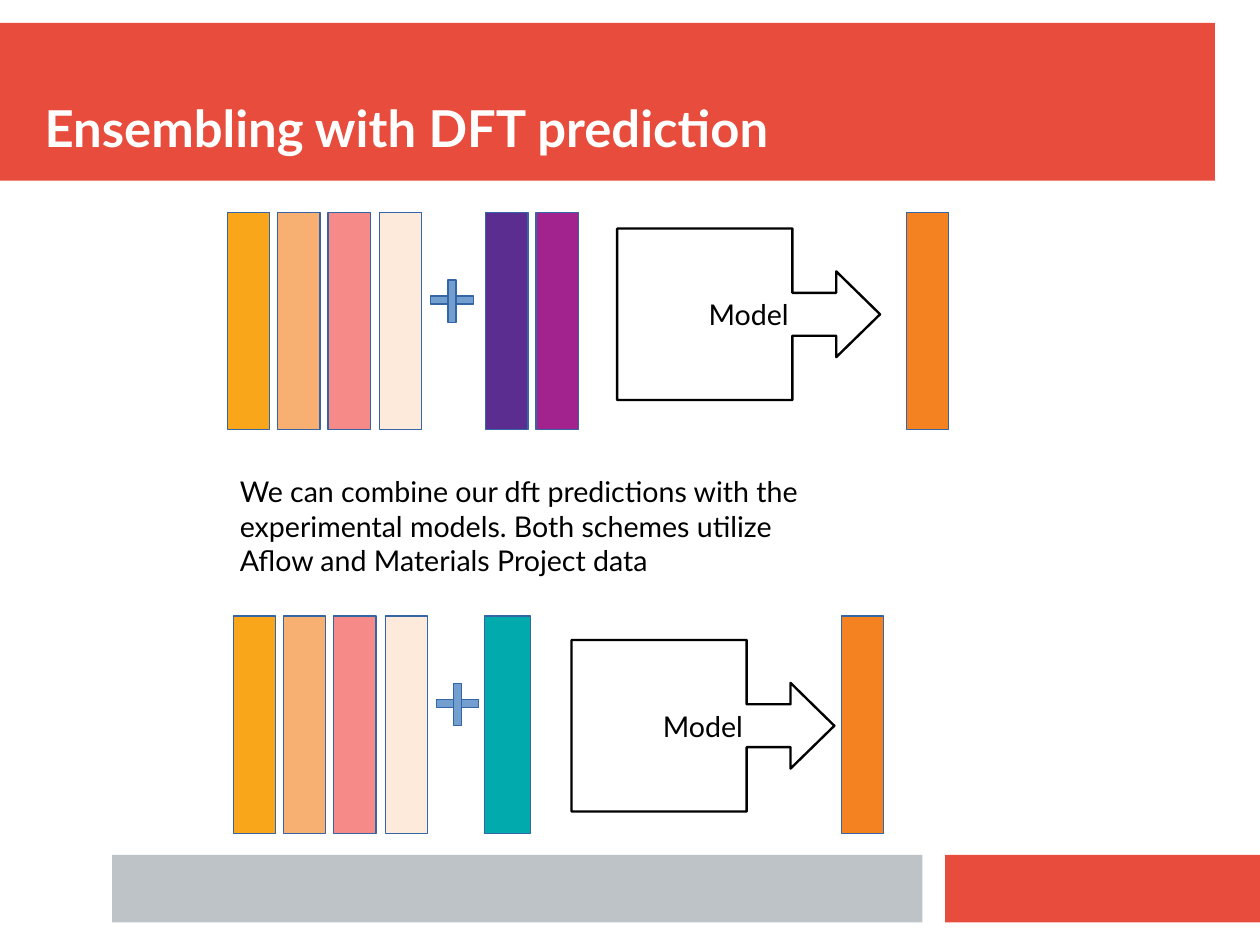
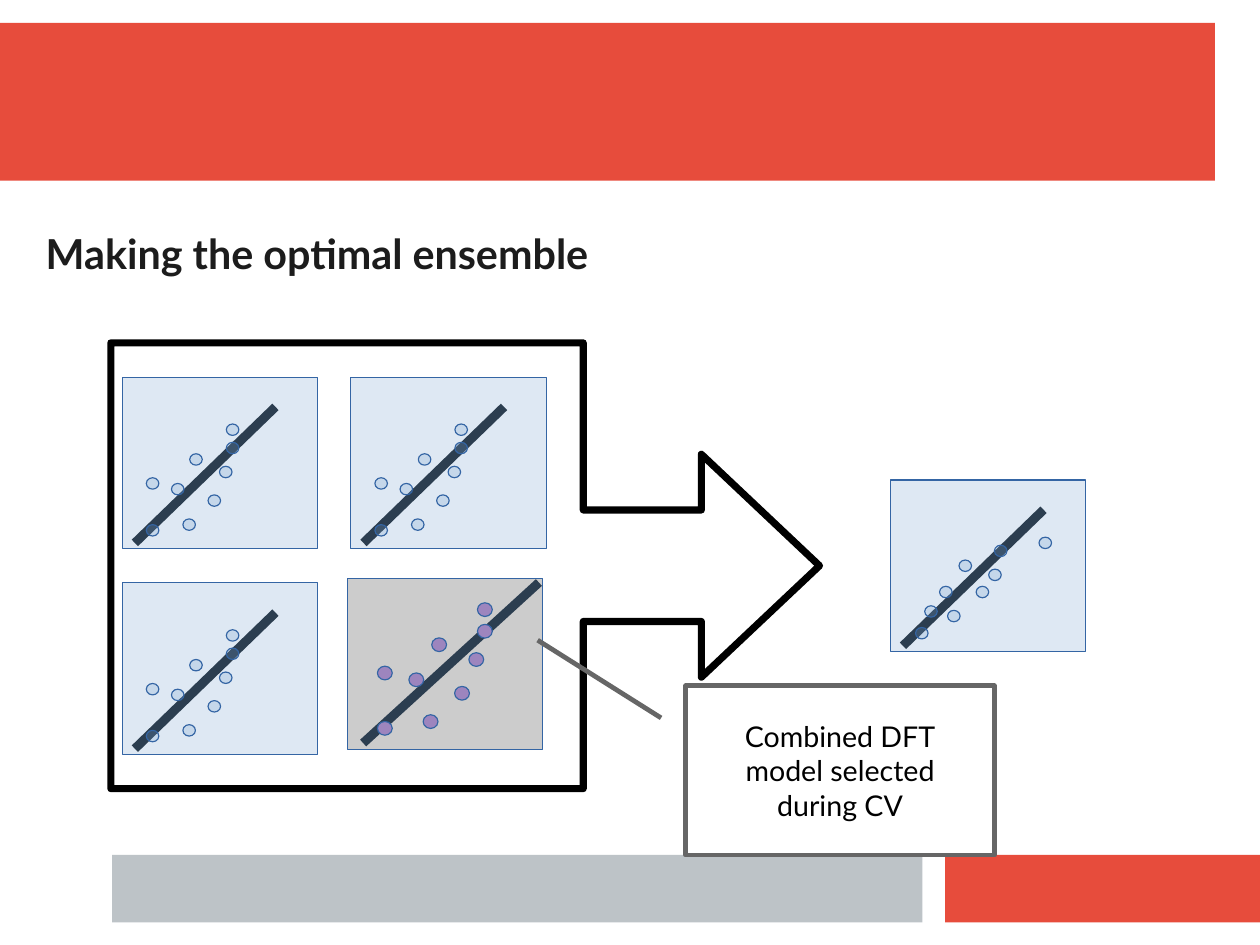
import lxml.etree
import pptx
import pptx.dml.color
import pptx.enum.shapes
import pptx.enum.text
import pptx.oxml.ns
import pptx.util

PX = 9144  # EMU per px, 100 px to the inch
SLIDE_SIZE_CM = (28, 21)

SHAPES = pptx.enum.shapes.MSO_SHAPE
ANCHOR = pptx.enum.text.MSO_ANCHOR
ALIGN = pptx.enum.text.PP_ALIGN

THEME = {
    "font": "Lato",
    "red": "E74C3C", "silver": "BDC3C7", "white": "FFFFFF", "black": "000000",
    "ink": "1C1C1C", "outline": "3465A4", "blue": "729FCF", "trend": "2C3E50",
    "callout": "666666", "grey": "CCCCCC", "lilac": "9D85BE",
    "amber": "FAA61A", "orange": "F58220", "coral": "EF413D",
    "purple": "5C2D91", "magenta": "A3238E", "teal": "00AAAD",
    "thin": 0.75, "trend_width": 5.67,
}
TEXT_STYLES = {
    "title": {"size": 32, "bold": True, "color": "white", "align": ALIGN.LEFT,
              "frame": {"vertical_anchor": ANCHOR.BOTTOM, "word_wrap": True}, "margins": (0, 0)},
    "heading": {"size": 26, "bold": True, "color": "ink", "align": ALIGN.LEFT,
                "frame": {"vertical_anchor": ANCHOR.TOP, "word_wrap": True}, "margins": (0, 0)},
    "body": {"size": 18, "bold": False, "color": "black", "align": ALIGN.LEFT,
             "frame": {"vertical_anchor": ANCHOR.TOP, "word_wrap": True}, "margins": (10, 5)},
    "label": {"size": 18, "bold": False, "color": "black", "align": ALIGN.CENTER,
              "frame": {"vertical_anchor": ANCHOR.MIDDLE, "word_wrap": False}, "margins": (12, 7)},
}

BANDS = [
    ((0, 20, 1063, 138), "red"),
    ((827, 748, 276, 59), "red"),
    ((98, 748, 709, 59), "silver"),
]

# Slide 1
TITLE = "Ensembling with DFT prediction"
SCHEMES_NOTE = ("We can combine our dft predictions with the experimental models. "
                "Both schemes utilize Aflow and Materials Project data")
BAR_SIZE = (37, 190)
FEATURES = [(0, "amber", 100), (44, "orange", 63), (88, "coral", 61), (133, "orange", 16)]
PLUS_STROKES = [(178, 73, 37, 7), (193, 59, 7, 37)]
SCHEMES = [
    {"origin": (199, 186), "dft": [(425, 37, "purple"), (469, 37, "magenta")],
     "model": (540, 200, 230, 150), "output": 793},
    {"origin": (204, 539), "dft": [(424, 40, "teal")],
     "model": (500, 560, 230, 150), "output": 736},
]

# Slide 2
HEADING = "Making the optimal ensemble"
PLOT_SIZE = (171, 150)
TREND = [(11, 145), (134, 26)]
SAMPLES = [(91, 57), (75, 103), (21, 88), (43, 93), (53, 124),
           (59, 67), (91, 41), (85, 78), (21, 129)]
ENSEMBLE_SAMPLES = [(91, 57), (75, 93), (30, 110), (43, 93), (50, 114),
                    (60, 70), (130, 50), (86, 78), (22, 129)]
SINGLE_MODELS = [(107, 510), (107, 330), (307, 330)]
DFT_MODEL = (304, 506)
ENSEMBLE = (779, 420)
ENSEMBLE_ARROW = (97, 300, 620, 390)
CALLOUT_BOX = (600, 600, 270, 148)
CALLOUT_ADJUSTMENTS = (0.19, -0.08, -0.27, -0.48)
CALLOUT_LINES = ["Combined DFT", "model selected", "during CV"]

# Share of width and height at each corner of a block arrow
ARROW_CORNERS = [(0, 0), (2 / 3, 0), (2 / 3, 3 / 8), (5 / 6, 3 / 8), (5 / 6, 1 / 4), (1, 1 / 2),
                 (5 / 6, 3 / 4), (5 / 6, 5 / 8), (2 / 3, 5 / 8), (2 / 3, 1), (0, 1)]


def emu(lengths):
    return [round(length * PX) for length in lengths]


def rgb(name):
    return pptx.dml.color.RGBColor.from_string(THEME[name])


def paint(shape, fill=None, opacity=100, line="outline", width=THEME["thin"]):
    shape.shadow.inherit = False
    if fill:
        shape.fill.solid()
        shape.fill.fore_color.rgb = rgb(fill)
        if opacity < 100:
            color = shape._element.spPr.find(".//" + pptx.oxml.ns.qn("a:srgbClr"))
            alpha = lxml.etree.SubElement(color, pptx.oxml.ns.qn("a:alpha"))
            alpha.set("val", str(opacity * 1000))
    else:
        shape.fill.background()
    if line:
        shape.line.color.rgb = rgb(line)
        shape.line.width = pptx.util.Pt(width)
    else:
        shape.line.fill.background()


def add_block(slide, kind, box, **look):
    block = slide.shapes.add_shape(kind, *emu(box))
    paint(block, **look)
    return block


def write(shape, lines, style_name):
    style = TEXT_STYLES[style_name]
    frame = shape.text_frame
    across, down = emu(style["margins"])
    margins = {"margin_left": across, "margin_right": across,
               "margin_top": down, "margin_bottom": down}
    for name, value in {**style["frame"], **margins}.items():
        setattr(frame, name, value)
    font_format = {"name": THEME["font"], "size": pptx.util.Pt(style["size"]),
                   "bold": style["bold"]}
    for index, line in enumerate(lines):
        paragraph = frame.add_paragraph() if index else frame.paragraphs[0]
        paragraph.alignment = style["align"]
        run = paragraph.add_run()
        run.text = line
        for name, value in font_format.items():
            setattr(run.font, name, value)
        run.font.color.rgb = rgb(style["color"])


def add_text(slide, box, text, style_name):
    write(slide.shapes.add_textbox(*emu(box)), [text], style_name)


def add_block_arrow(slide, box, width):
    left, top, across, down = box
    corners = [emu((left + x * across, top + y * down)) for x, y in ARROW_CORNERS]
    builder = slide.shapes.build_freeform(*corners[0])
    builder.add_line_segments(corners[1:], close=True)
    arrow = builder.convert_to_shape()
    paint(arrow, line="black", width=width)
    return arrow


def add_trend(slide, start, end):
    trend = slide.shapes.add_connector(
        pptx.enum.shapes.MSO_CONNECTOR.STRAIGHT, *emu((*start, *end)))
    trend.line.color.rgb = rgb("trend")
    trend.line.width = pptx.util.Pt(THEME["trend_width"])
    lxml.etree.SubElement(trend._element.spPr, pptx.oxml.ns.qn("a:effectLst"))


def add_plot(slide, origin, samples=SAMPLES, panel=("blue", 23), dot=("blue", 23),
             dot_size=(11, 10), stretch=(1, 1), lift=0):
    """Draw a scatter panel; stretch and lift zoom its samples and trend line."""
    def place(point):
        return (origin[0] + point[0] * stretch[0], origin[1] + point[1] * stretch[1] - lift)

    add_block(slide, SHAPES.RECTANGLE, (*origin, *PLOT_SIZE), fill=panel[0], opacity=panel[1])
    add_trend(slide, *map(place, TREND))
    for sample in samples:
        add_block(slide, SHAPES.OVAL, (*place(sample), *dot_size), fill=dot[0], opacity=dot[1])


def add_scheme(slide, scheme):
    left, top = scheme["origin"]
    width, height = BAR_SIZE
    bars = [(left + offset, width, color, opacity) for offset, color, opacity in FEATURES]
    bars += [(x, bar_width, color, 100) for x, bar_width, color in scheme["dft"]]
    bars.append((scheme["output"], width, "orange", 100))
    for x, bar_width, color, opacity in bars:
        add_block(slide, SHAPES.RECTANGLE, (x, top, bar_width, height),
                  fill=color, opacity=opacity)
    for x, y, across, down in PLUS_STROKES:
        add_block(slide, SHAPES.FLOWCHART_PROCESS, (left + x, top + y, across, down), fill="blue")
    write(add_block_arrow(slide, scheme["model"], 1.5), ["Model"], "label")


def add_banded_slide(deck):
    slide = deck.slides.add_slide(deck.slide_layouts[6])
    for box, color in BANDS:
        add_block(slide, SHAPES.RECTANGLE, box, fill=color, line=None)
    return slide


def build_dft_slide(deck):
    slide = add_banded_slide(deck)
    add_text(slide, (39, 40, 1024, 98), TITLE, "title")
    for scheme in SCHEMES:
        add_scheme(slide, scheme)
    add_text(slide, (200, 410, 550, 97), SCHEMES_NOTE, "body")


def build_ensemble_slide(deck):
    slide = add_banded_slide(deck)
    add_text(slide, (40, 200, 1004, 512), HEADING, "heading")
    for origin in SINGLE_MODELS:
        add_plot(slide, origin)
    add_block_arrow(slide, ENSEMBLE_ARROW, 4.5)
    add_plot(slide, DFT_MODEL, panel=("grey", 100), dot=("lilac", 100),
             dot_size=(13, 12), stretch=(1.25, 1.18), lift=27)
    add_plot(slide, ENSEMBLE, ENSEMBLE_SAMPLES)
    callout = add_block(slide, SHAPES.LINE_CALLOUT_1, CALLOUT_BOX, line="callout", width=3)
    for index, value in enumerate(CALLOUT_ADJUSTMENTS):
        callout.adjustments[index] = value
    write(callout, CALLOUT_LINES, "label")


def main():
    deck = pptx.Presentation()
    deck.slide_width, deck.slide_height = map(pptx.util.Cm, SLIDE_SIZE_CM)
    build_dft_slide(deck)
    build_ensemble_slide(deck)
    deck.save("out.pptx")


if __name__ == "__main__":
    main()
